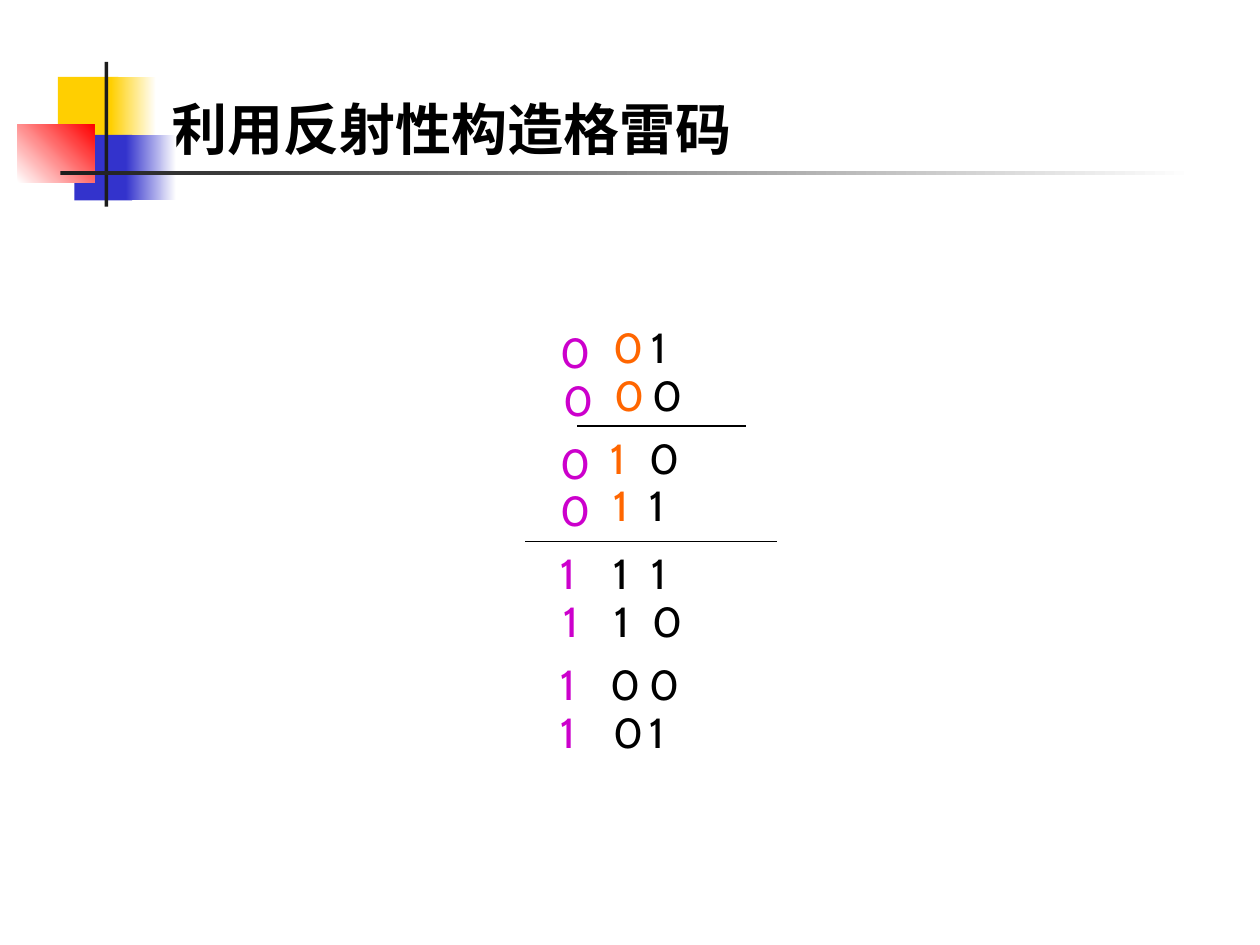
from dataclasses import dataclass

from lxml import etree
from pptx import Presentation
from pptx.dml.color import RGBColor
from pptx.enum.shapes import MSO_CONNECTOR, MSO_SHAPE
from pptx.enum.text import MSO_ANCHOR, MSO_AUTO_SIZE, PP_ALIGN
from pptx.oxml.ns import qn
from pptx.util import Emu, Pt

RECTANGLE = MSO_SHAPE.RECTANGLE
STRAIGHT = MSO_CONNECTOR.STRAIGHT
PX = 9144  # 100 px to the inch
SLIDE_SIZE = (1000, 750)
TITLE_ONLY = 5


@dataclass(frozen=True)
class Theme:
    white: str = "FFFFFF"
    black: str = "000000"
    yellow: str = "FFCF01"
    blue: str = "3333CC"
    red: str = "FF0000"
    bar: str = "1C1C1C"
    middle_bit: str = "FF6600"
    first_bit: str = "CC00CC"
    title_font: str = "Times New Roman"
    digit_font: str = "Cabin"
    title_size: int = 32
    digit_size: int = 24
    line_width: float = 0.75


THEME = Theme()

# Gray code rows, with the mirrored halves one above the other
UPPER_CODES = ("001", "000", "010", "011")
LOWER_CODES = ("111", "110", "100", "101")
ROW_TOPS = (0, 38, 88, 126)
COLUMN_LEFTS = ((0, 2, 0, 0), (42, 43, 40, 42), (72, 73, 71, 71))
DIGIT_SIZE = (38, 50)


def px(*lengths):
    return [Emu(length * PX) for length in lengths]


def rgb(color):
    return RGBColor.from_string(color)


def add_block(slide, left, top, width, height, start, end=None, angle=0):
    """Add a borderless rectangle, plain or with a two-colour gradient."""
    shape = slide.shapes.add_shape(RECTANGLE, *px(left, top, width, height))
    shape.shadow.inherit = False
    shape.line.fill.background()
    if end is None:
        shape.fill.solid()
        shape.fill.fore_color.rgb = rgb(start)
    else:
        shape.fill.gradient()
        shape.fill.gradient_angle = angle
        for stop, color in zip(shape.fill.gradient_stops, (start, end)):
            stop.color.rgb = rgb(color)


def add_ornament(slide, left, top):
    """Coloured squares with the crossing bars."""
    blocks = (
        (32, 12, 48, 52, THEME.yellow),
        (74, 12, 36, 52, THEME.yellow, THEME.white),
        (45, 58, 46, 52, THEME.blue),
        (86, 58, 40, 52, THEME.blue, THEME.white),
        (0, 50, 61, 46, THEME.white, THEME.red, 45),
        (69, 0, 3, 115, THEME.bar),
        (34, 87, 900, 3, THEME.bar, THEME.white),
    )
    for x, y, *rest in blocks:
        add_block(slide, left + x, top + y, *rest)


def set_title(slide, text, left, top, width, height):
    title = slide.shapes.title
    title.left, title.top, title.width, title.height = px(left, top, width, height)
    frame = title.text_frame
    frame.text = text
    frame.vertical_anchor = MSO_ANCHOR.BOTTOM
    paragraph = frame.paragraphs[0]
    paragraph.alignment = PP_ALIGN.LEFT
    paragraph.font.name = THEME.title_font
    paragraph.font.size = Pt(THEME.title_size)
    paragraph.font.bold = True
    paragraph.font.color.rgb = rgb(THEME.black)


def add_digit(group, digit, left, top, color):
    text_box = group.shapes.add_textbox(*px(left, top, *DIGIT_SIZE))
    frame = text_box.text_frame
    frame.word_wrap = False
    frame.auto_size = MSO_AUTO_SIZE.SHAPE_TO_FIT_TEXT
    frame.text = digit
    font = frame.paragraphs[0].font
    font.name = THEME.digit_font
    font.size = Pt(THEME.digit_size)
    font.color.rgb = rgb(color)


def add_codes(slide, codes, left, top, colors, first_bit_drop=0):
    """Four code rows, one group for each bit column."""
    for column, (lefts, color) in enumerate(zip(COLUMN_LEFTS, colors)):
        group = slide.shapes.add_group_shape()
        drop = first_bit_drop if column == 0 else 0
        for code, x, y in zip(codes, lefts, ROW_TOPS):
            add_digit(group, code[column], left + x, top + y + drop, color)


def add_mirror_line(slide, left, top, width):
    line = slide.shapes.add_connector(STRAIGHT, *px(left, top, left + width, top))
    line.line.color.rgb = rgb(THEME.black)
    line.line.width = Pt(THEME.line_width)
    etree.SubElement(line._element.spPr, qn("a:effectLst"))


def main():
    presentation = Presentation()
    presentation.slide_width, presentation.slide_height = px(*SLIDE_SIZE)
    slide = presentation.slides.add_slide(presentation.slide_layouts[TITLE_ONLY])

    # Heading
    add_ornament(slide, 14, 49)
    set_title(slide, "利用反射性构造格雷码", 126, 8, 852, 125)

    # Codes and the lines they are mirrored at
    add_codes(slide, UPPER_CODES, 435, 250,
              (THEME.first_bit, THEME.middle_bit, THEME.black), first_bit_drop=4)
    add_mirror_line(slide, 458, 338, 134)
    add_mirror_line(slide, 417, 430, 200)
    add_codes(slide, LOWER_CODES, 435, 430,
              (THEME.first_bit, THEME.black, THEME.black))

    presentation.save("out.pptx")


if __name__ == "__main__":
    main()
